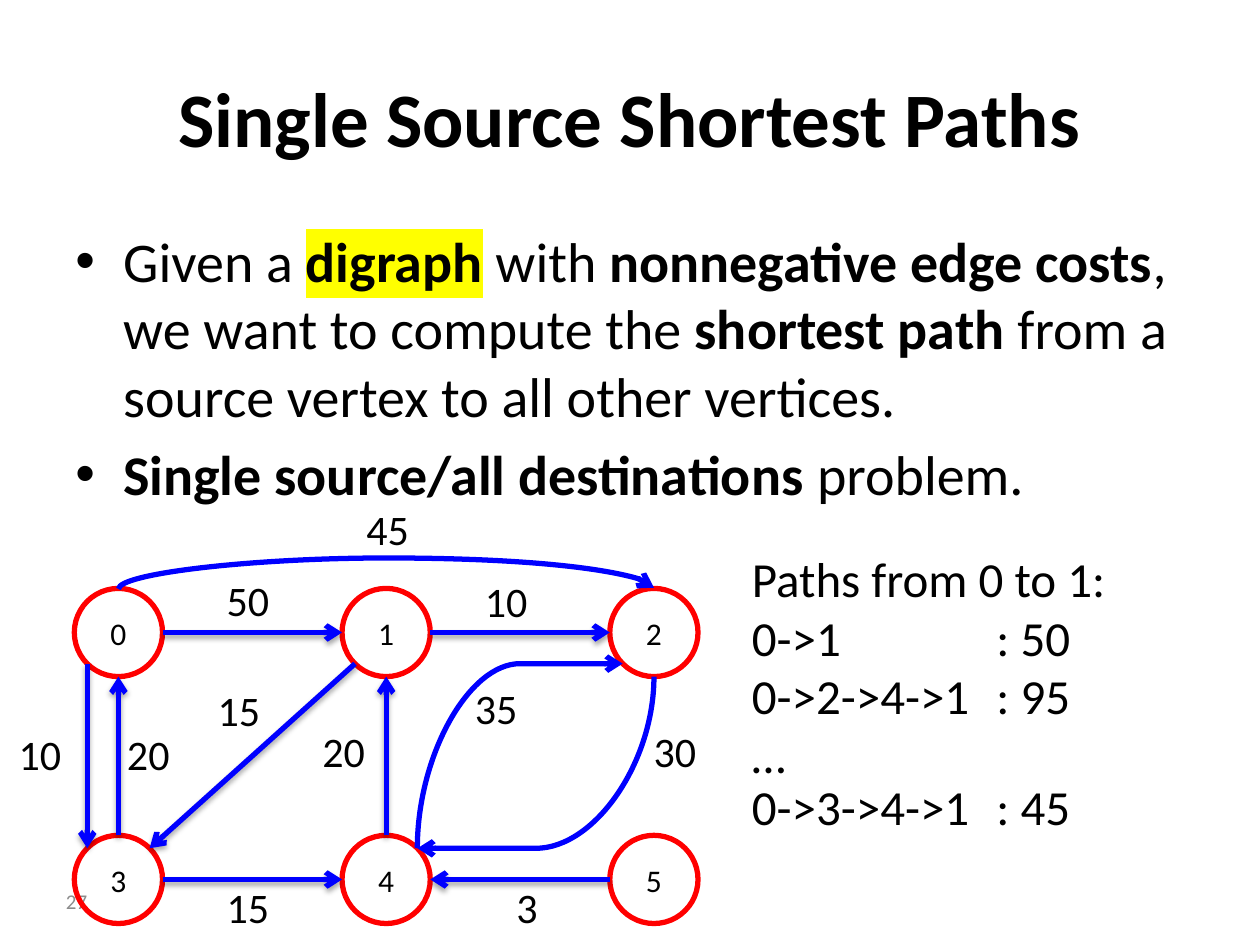
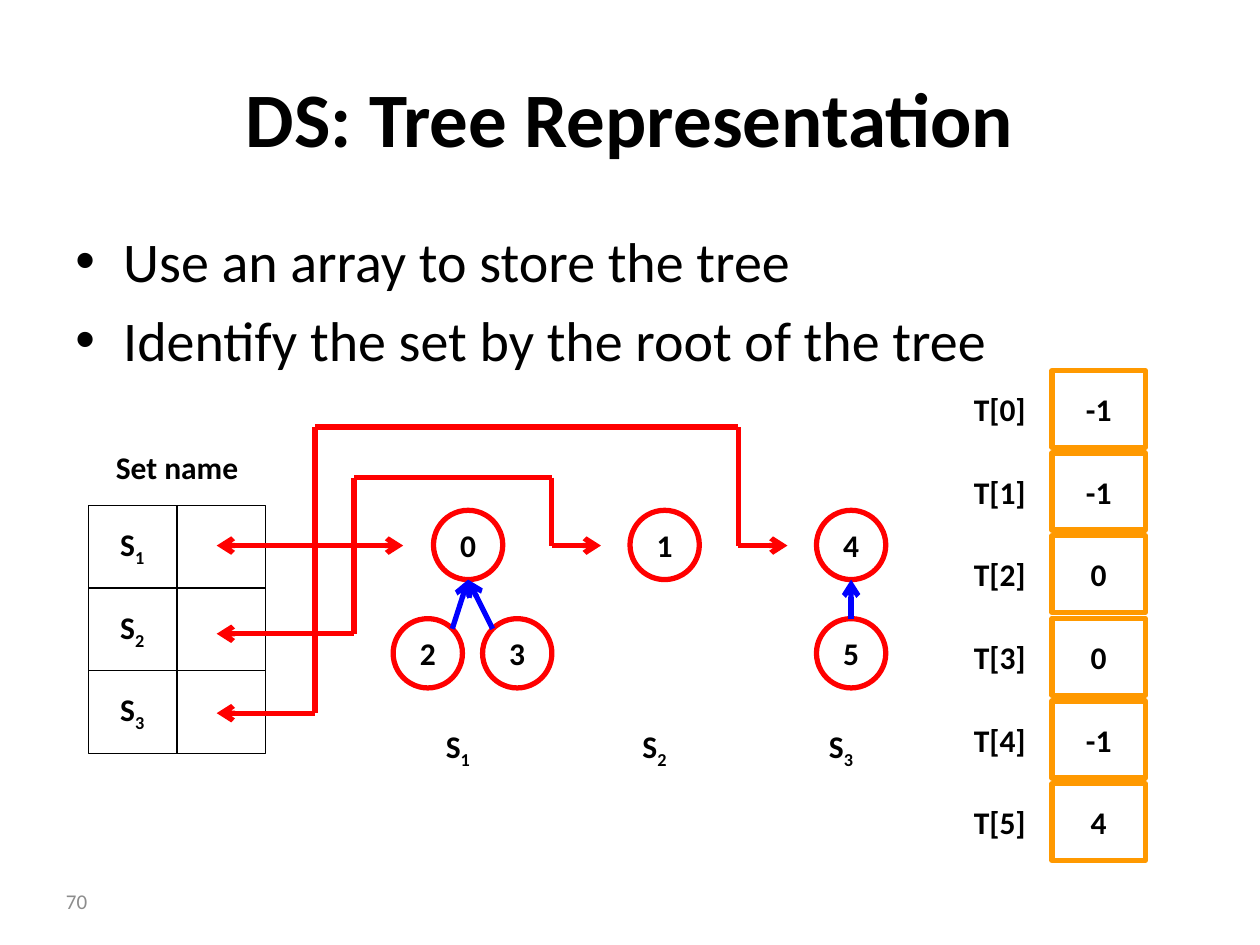
from dataclasses import dataclass
from itertools import pairwise

from lxml import etree
from pptx import Presentation
from pptx import util as u
from pptx.dml.color import RGBColor
from pptx.enum import shapes, text
from pptx.oxml import ns

ALIGN = text.PP_ALIGN
Point = tuple[float, float]


@dataclass(frozen=True)
class Theme:
    font: str = "Calibri"
    ink: str = "000000"
    muted: str = "8C8C8C"
    node: str = "FF0000"
    edge: str = "0000FF"
    array: str = "FF9900"
    marker: str = "FFFF00"
    title: int = 44
    body: int = 32
    paths: int = 28
    cost: int = 24
    label: int = 18
    footer: int = 12
    thick: float = 3
    thin: float = 0.75


THEME = Theme()


@dataclass(frozen=True)
class Span:
    words: str
    bold: bool = False
    marked: bool = False
    subscript: bool = False


@dataclass(frozen=True)
class Box:
    left: float
    top: float
    width: float
    height: float

    def lengths(self) -> list[u.Length]:
        return [u.Inches(v) for v in (self.left, self.top, self.width, self.height)]


@dataclass(frozen=True)
class Node:
    name: str
    left: float
    top: float
    size: float
    bold: bool = False

    def site(self, direction: str) -> Point:
        """Point on the circle in a compass direction."""
        dx = ("E" in direction) - ("W" in direction)
        dy = ("S" in direction) - ("N" in direction)
        radius = self.size / 2
        reach = radius * (0.707 if dx and dy else 1)
        return self.left + radius + dx * reach, self.top + radius + dy * reach


@dataclass(frozen=True)
class Edge:
    source: str
    leaves: str
    target: str
    enters: str
    bend: float = 0  # 0 is straight, otherwise the curve's bend ratio


@dataclass(frozen=True)
class Cost:
    value: str
    left: float
    top: float


# Text
def add_child(parent, tag: str, **attributes: str):
    child = etree.SubElement(parent, ns.qn(tag))
    for key, value in attributes.items():
        child.set(key, value)
    return child


def write(paragraph, spans: list[Span], size: int, color: str = THEME.ink) -> None:
    font = paragraph.font
    font.name, font.size = THEME.font, u.Pt(size)
    font.color.rgb = RGBColor.from_string(color)
    same_weight = len({span.bold for span in spans}) == 1
    if same_weight:
        font.bold = spans[0].bold
    for span in spans:
        run = paragraph.add_run()
        run.text = span.words
        if not same_weight:
            run.font.bold = span.bold
        if span.marked:
            highlight = add_child(run._r.get_or_add_rPr(), "a:highlight")
            add_child(highlight, "a:srgbClr", val=THEME.marker)
        if span.subscript:
            run._r.get_or_add_rPr().set("baseline", "-25000")


def add_label(slide, box: Box, spans: list[Span], size: int, align=ALIGN.LEFT,
              color: str = THEME.ink, wrap: bool = True, tab: float = 0) -> None:
    frame = slide.shapes.add_textbox(*box.lengths()).text_frame
    frame.word_wrap = wrap
    frame.vertical_anchor = text.MSO_ANCHOR.MIDDLE
    paragraph = frame.paragraphs[0]
    paragraph.alignment = align
    if tab:
        stops = add_child(paragraph._p.get_or_add_pPr(), "a:tabLst")
        add_child(stops, "a:tab", pos=str(u.Inches(tab)), algn="l")
    write(paragraph, spans, size, color)


def set_name(number: int) -> list[Span]:
    return [Span("S", bold=True), Span(str(number), bold=True, subscript=True)]


def start_slide(deck, title: str, bullets: list[list[Span]], number: int):
    """Blank slide with the shared title, bullets and page number."""
    slide = deck.slides.add_slide(deck.slide_layouts[6])
    add_label(slide, Box(0.5, 0.3, 9, 1.25), [Span(title, bold=True)], THEME.title, ALIGN.CENTER)
    frame = slide.shapes.add_textbox(*Box(0.5, 1.75, 9, 4.95).lengths()).text_frame
    frame.word_wrap = True
    for index, spans in enumerate(bullets):
        paragraph = frame.add_paragraph() if index else frame.paragraphs[0]
        if index:
            paragraph.space_before = u.Pt(0.2 * THEME.body)
        properties = paragraph._p.get_or_add_pPr()
        properties.set("marL", str(u.Inches(0.38)))
        properties.set("indent", str(-u.Inches(0.38)))
        add_child(properties, "a:buFont", typeface="Arial")
        add_child(properties, "a:buChar", char="•")
        write(paragraph, spans, THEME.body)
    add_label(slide, Box(0.3, 6.95, 0.49, 0.4), [Span(str(number))], THEME.footer,
              ALIGN.RIGHT, THEME.muted)
    return slide


# Shapes and lines
def add_outline(slide, kind, box: Box, color: str, weight: float, spans: list[Span]) -> None:
    shape = slide.shapes.add_shape(kind, *box.lengths())
    shape.shadow.inherit = False
    shape.fill.background()
    shape.line.color.rgb = RGBColor.from_string(color)
    shape.line.width = u.Pt(weight)
    if spans:
        frame = shape.text_frame
        frame.margin_left = frame.margin_right = frame.margin_top = frame.margin_bottom = 0
        frame.vertical_anchor = text.MSO_ANCHOR.MIDDLE
        frame.paragraphs[0].alignment = ALIGN.CENTER
        write(frame.paragraphs[0], spans, THEME.label)


def add_node(slide, node: Node) -> None:
    add_outline(slide, shapes.MSO_SHAPE.OVAL, Box(node.left, node.top, node.size, node.size),
                THEME.node, THEME.thick, [Span(node.name, node.bold)])


def add_line(slide, start: Point, end: Point, color: str, head: bool = False,
             tail: bool = True, shadow: bool = False, kind=shapes.MSO_CONNECTOR.STRAIGHT):
    line = slide.shapes.add_connector(kind, *(u.Inches(v) for v in (*start, *end)))
    line.line.color.rgb = RGBColor.from_string(color)
    line.line.width = u.Pt(THEME.thick)
    outline = line.line._get_or_add_ln()
    for wanted, tag in ((head, "a:headEnd"), (tail, "a:tailEnd")):
        if wanted:
            add_child(outline, tag, type="arrow")
    effects = add_child(line._element.spPr, "a:effectLst")
    if shadow:
        cast = add_child(effects, "a:outerShdw", blurRad=str(u.Pt(3.1)), dist=str(u.Pt(1.8)),
                         dir="5400000", rotWithShape="0")
        add_child(add_child(cast, "a:srgbClr", val=THEME.ink), "a:alpha", val="35000")
    return line


def add_curve(slide, start: Point, end: Point, bend: float) -> None:
    """Curve that leaves its start vertically: a connector turned by 90 degrees."""
    run, rise = abs(end[0] - start[0]), max(abs(end[1] - start[1]), 0.01)
    x, y = (start[0] + end[0]) / 2, (start[1] + end[1]) / 2
    curve = add_line(slide, (x - rise / 2, y - run / 2), (x + rise / 2, y + run / 2),
                     THEME.edge, kind=shapes.MSO_CONNECTOR.CURVE)
    properties = curve._element.spPr
    frame = properties.find(ns.qn("a:xfrm"))
    frame.set("rot", "5400000")
    if end[0] > start[0]:
        frame.set("flipH", "1")
        frame.set("flipV", "1")
    geometry = properties.find(ns.qn("a:prstGeom"))
    guides = geometry.find(ns.qn("a:avLst"))
    if guides is None:
        guides = add_child(geometry, "a:avLst")
    add_child(guides, "a:gd", name="adj1", fmla=f"val {round(bend * 100000)}")


def add_graph(slide, nodes: list[Node], edges: list[Edge], shadow: bool) -> None:
    by_name = {node.name: node for node in nodes}
    for node in nodes:
        add_node(slide, node)
    for edge in edges:
        start = by_name[edge.source].site(edge.leaves)
        end = by_name[edge.target].site(edge.enters)
        if edge.bend:
            add_curve(slide, start, end, edge.bend)
        else:
            add_line(slide, start, end, THEME.edge, shadow=shadow)


def shortest_paths(deck) -> None:
    slide = start_slide(deck, "Single Source Shortest Paths", [
        [Span("Given a "), Span("digraph", bold=True, marked=True), Span(" with "),
         Span("nonnegative edge costs", bold=True), Span(", we want to compute the "),
         Span("shortest path ", bold=True), Span("from a source vertex to all other vertices.")],
        [Span("Single source/all destinations", bold=True), Span(" problem.")],
    ], 27)

    # Digraph: two rows of three vertices
    vertices = [Node(str(3 * row + column), 0.59 + 2.125 * column, 4.67 + 1.96 * row, 0.7)
                for row in range(2) for column in range(3)]
    add_graph(slide, vertices, [
        Edge("0", "E", "1", "W"), Edge("1", "E", "2", "W"),
        Edge("0", "SW", "3", "NW"), Edge("3", "N", "0", "S"),
        Edge("1", "SW", "3", "NE"), Edge("3", "E", "4", "W"),
        Edge("4", "N", "1", "S"), Edge("5", "W", "4", "E"),
        Edge("0", "N", "2", "N", bend=25),
        Edge("4", "NE", "2", "SW", bend=1), Edge("2", "S", "4", "NE", bend=1),
    ], shadow=True)

    # Edge costs
    for cost in (Cost("35", 3.67, 5.37), Cost("3", 4, 6.95), Cost("30", 5.09, 5.71),
                 Cost("15", 1.7, 6.95), Cost("10", 3.75, 4.52), Cost("50", 1.7, 4.51),
                 Cost("10", 0.05, 5.73), Cost("20", 0.91, 5.73), Cost("20", 2.46, 5.71),
                 Cost("15", 1.63, 5.38), Cost("45", 2.81, 3.95)):
        width = 0.2 + 0.17 * len(cost.value)
        add_label(slide, Box(cost.left, cost.top, width, 0.5), [Span(cost.value)],
                  THEME.cost, wrap=False)

    # Paths and their lengths
    for top, path in ((4.3, "Paths from 0 to 1:"), (4.77, "0->1\t: 50"),
                      (5.23, "0->2->4->1\t: 95"), (5.7, "…"), (6.11, "0->3->4->1\t: 45")):
        add_label(slide, Box(5.87, top, 3.2, 0.57), [Span(path)], THEME.paths, tab=1.94)


def tree_representation(deck) -> None:
    slide = start_slide(deck, "DS: Tree Representation", [
        [Span("Use an array to store the tree")],
        [Span("Identify the set by the root of the tree")],
    ], 70)
    rectangle = shapes.MSO_SHAPE.RECTANGLE

    # Parent array
    for index, parent in enumerate((-1, -1, 0, 0, -1, 4)):
        top = 2.94 + 0.656 * index
        add_label(slide, Box(7.52, top, 0.83, 0.61), [Span(f"T[{index}]", bold=True)],
                  THEME.label, ALIGN.CENTER)
        add_outline(slide, rectangle, Box(8.35, top, 0.74, 0.61), THEME.array, THEME.thick,
                    [Span(str(parent), bold=True)])

    # Set names with their pointer cells
    add_label(slide, Box(0.7, 3.4, 1.41, 0.61), [Span("Set name", bold=True)],
              THEME.label, ALIGN.CENTER)
    for row in range(3):
        for column, spans in enumerate((set_name(row + 1), [])):
            add_outline(slide, rectangle, Box(0.7 + 0.705 * column, 4.01 + 0.655 * row, 0.7, 0.66),
                        THEME.ink, THEME.thin, spans)

    # Trees
    roots, leaves, size = 4.05, 4.91, 0.55
    nodes = [Node(name, left, top, size, bold=True) for name, left, top in (
        ("0", 3.44, roots), ("2", 3.12, leaves), ("3", 3.83, leaves),
        ("1", 5, roots), ("4", 6.48, roots), ("5", 6.48, leaves))]
    add_graph(slide, nodes, [Edge("3", "NW", "0", "S"), Edge("2", "NE", "0", "S"),
                             Edge("5", "N", "4", "S")], shadow=False)
    for number, left in enumerate((3.44, 5, 6.48), start=1):
        add_label(slide, Box(left, 5.61, 0.62, 0.66), set_name(number), THEME.label)

    # Links between each set name and its root
    pointer, root_y = 1.72, 4.33
    links = [[(pointer, root_y), (3.2, root_y)]]
    for row_y, rise_x, over_y, drop_x in ((5.03, 2.81, 3.79, 4.38), (5.66, 2.5, 3.39, 5.86)):
        links.append([(pointer, row_y), (rise_x, row_y), (rise_x, over_y), (drop_x, over_y),
                      (drop_x, root_y), (drop_x + 0.39, root_y)])
    for link in links:
        for start, end in pairwise(link):
            add_line(slide, start, end, THEME.node, head=start == link[0], tail=end == link[-1])


def main() -> None:
    deck = Presentation()
    deck.slide_width, deck.slide_height = u.Inches(10), u.Inches(7.5)
    shortest_paths(deck)
    tree_representation(deck)
    deck.save("out.pptx")


if __name__ == "__main__":
    main()
